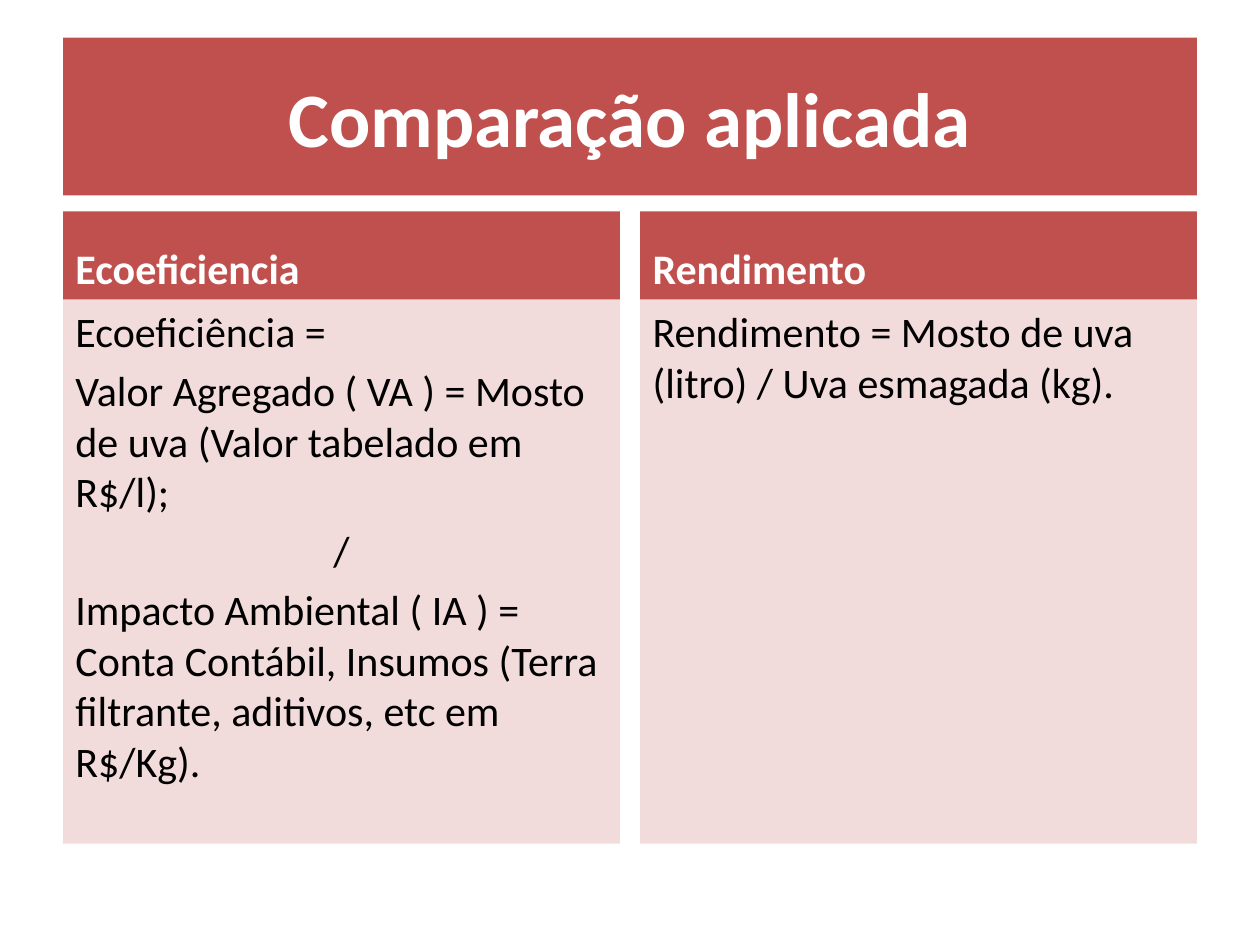
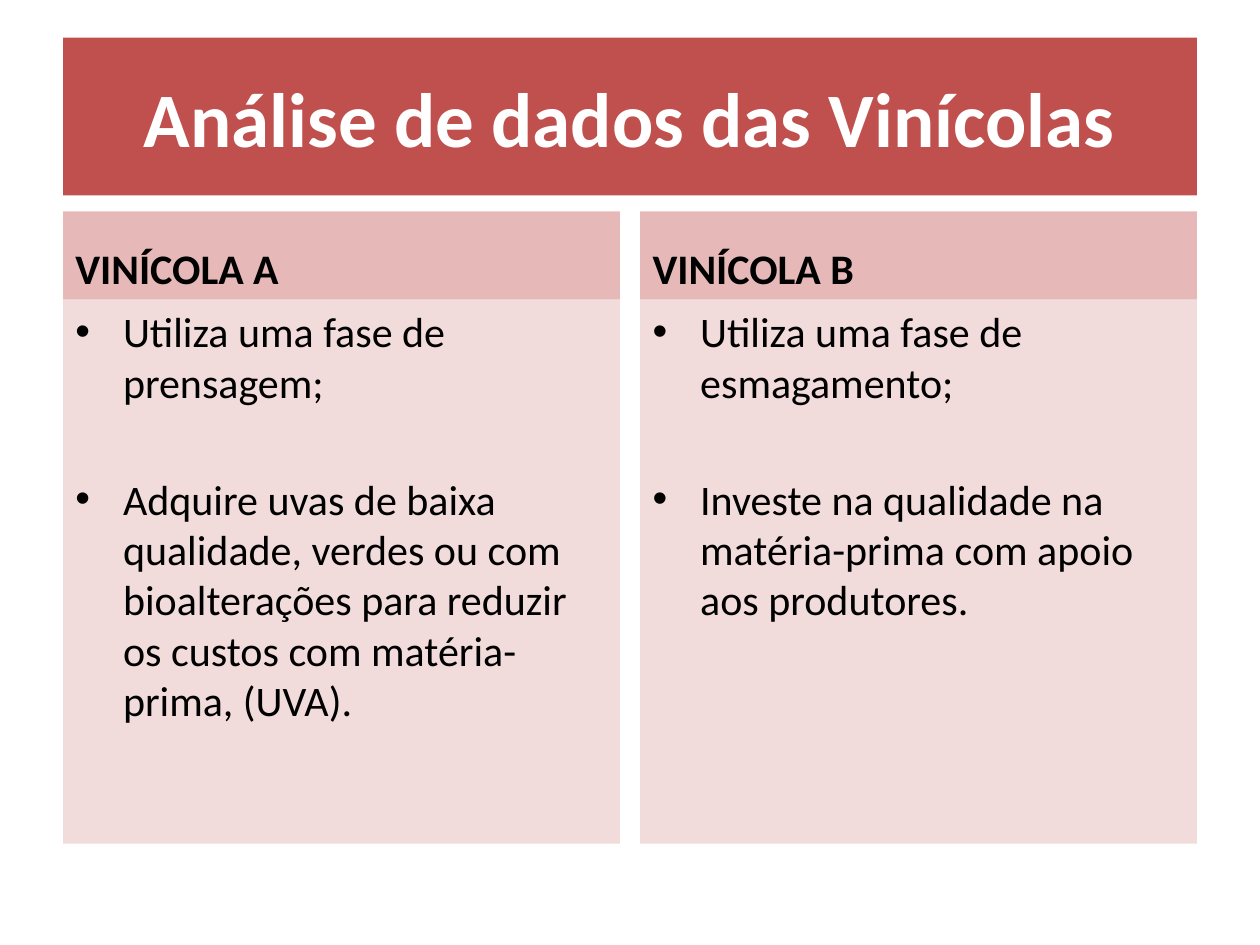
"""Build two slides that compare wine yield and eco-efficiency in paired panels."""
import dataclasses

import lxml.etree
import pptx
import pptx.dml.color
import pptx.enum.shapes
import pptx.enum.text
import pptx.oxml.ns
import pptx.util

Cm = pptx.util.Cm
Pt = pptx.util.Pt
Align = pptx.enum.text.PP_ALIGN
Anchor = pptx.enum.text.MSO_ANCHOR


@dataclasses.dataclass(frozen=True)
class Theme:
    font: str = "Calibri"
    red: str = "C0504D"
    rose: str = "E6B9B8"
    pale: str = "F2DCDB"
    white: str = "FFFFFF"
    black: str = "000000"
    big: int = 44
    text: int = 24
    space: int = 5
    wide: int = 38


THEME = Theme()
LEFT, WIDTH = 1.27, 22.86
GAP = 0.41
HALF = (WIDTH - GAP) / 2
HEAD_TOP, HEAD_TALL = 4.26, 1.78
BODY_TOP = HEAD_TOP + HEAD_TALL
BODY_TALL = 10.97


def tint(text):
    return pptx.dml.color.RGBColor.from_string(text)


def bullet(para):
    props = para._p.get_or_add_pPr()
    indent = Cm(0.96)
    props.set("marL", str(indent))
    props.set("indent", str(-indent))
    qn = pptx.oxml.ns.qn
    lxml.etree.SubElement(props, qn("a:buFont")).set("typeface", "Arial")
    lxml.etree.SubElement(props, qn("a:buChar")).set("char", "•")


def write(shape, text, size=THEME.text, color=THEME.black, bold=False,
          align=Align.LEFT, anchor=Anchor.TOP, space=THEME.space, dots=False):
    frame = shape.text_frame
    frame.word_wrap = True
    frame.auto_size = pptx.enum.text.MSO_AUTO_SIZE.NONE
    frame.vertical_anchor = anchor
    frame.text = text
    for spot, para in enumerate(frame.paragraphs):
        para.alignment = Align.CENTER if para.text == "/" else align
        para.space_before = Pt(space if spot else 0)
        if dots:
            bullet(para)
        font = para.font
        font.name = THEME.font
        font.size = Pt(size)
        font.bold = bold
        font.color.rgb = tint(color)


class Deck:
    def __init__(self, theme):
        self.theme = theme
        self.show = pptx.Presentation()
        self.show.slide_width = Cm(25.4)
        self.show.slide_height = Cm(19.05)
        self.slide = None

    def fill(self, shape, color):
        shape.fill.solid()
        shape.fill.fore_color.rgb = tint(color)
        shape.line.fill.background()

    def title(self, text):
        layout = self.show.slide_layouts.get_by_name("Title Only")
        self.slide = self.show.slides.add_slide(layout)
        shape = self.slide.shapes.title
        shape.left, shape.top = Cm(LEFT), Cm(0.76)
        shape.width, shape.height = Cm(WIDTH), Cm(3.18)
        self.fill(shape, self.theme.red)
        write(shape, text, size=self.theme.big, color=self.theme.white,
              bold=True, align=Align.CENTER, anchor=Anchor.MIDDLE)

    def panel(self, left, top, tall, back, text, **style):
        shape = self.slide.shapes.add_shape(
            pptx.enum.shapes.MSO_SHAPE.RECTANGLE,
            Cm(left), Cm(top), Cm(HALF), Cm(tall))
        shape.shadow.inherit = False
        self.fill(shape, back)
        write(shape, text, **style)

    def pair(self, parts, back, color, **style):
        for spot, (head, lines) in enumerate(parts):
            left = LEFT + spot * (HALF + GAP)
            self.panel(left, HEAD_TOP, HEAD_TALL, back, head,
                       color=color, bold=True, anchor=Anchor.BOTTOM)
            self.panel(left, BODY_TOP, BODY_TALL, self.theme.pale,
                       "\n".join(lines), **style)


def main():
    deck = Deck(THEME)
    deck.title("Comparação aplicada")
    deck.pair([
        ("Ecoeficiencia", [
            "Ecoeficiência =",
            "Valor Agregado ( VA ) = Mosto de uva (Valor tabelado em R$/l);",
            "/",
            "Impacto Ambiental ( IA ) = Conta Contábil, Insumos "
            "(Terra filtrante, aditivos, etc em R$/Kg).",
        ]),
        ("Rendimento", [
            "Rendimento = Mosto de uva (litro) / Uva esmagada (kg).",
        ]),
    ], THEME.red, THEME.white)

    deck.title("Análise de dados das Vinícolas")
    deck.pair([
        ("VINÍCOLA A", [
            "Utiliza uma fase de prensagem;",
            "Adquire uvas de baixa qualidade, verdes ou com bioalterações "
            "para reduzir os custos com matéria-prima, (UVA).",
        ]),
        ("VINÍCOLA B", [
            "Utiliza uma fase de esmagamento;",
            "Investe na qualidade na matéria-prima com apoio aos produtores.",
        ]),
    ], THEME.rose, THEME.black, space=THEME.wide, dots=True)
    deck.show.save("out.pptx")


if __name__ == "__main__":
    main()
